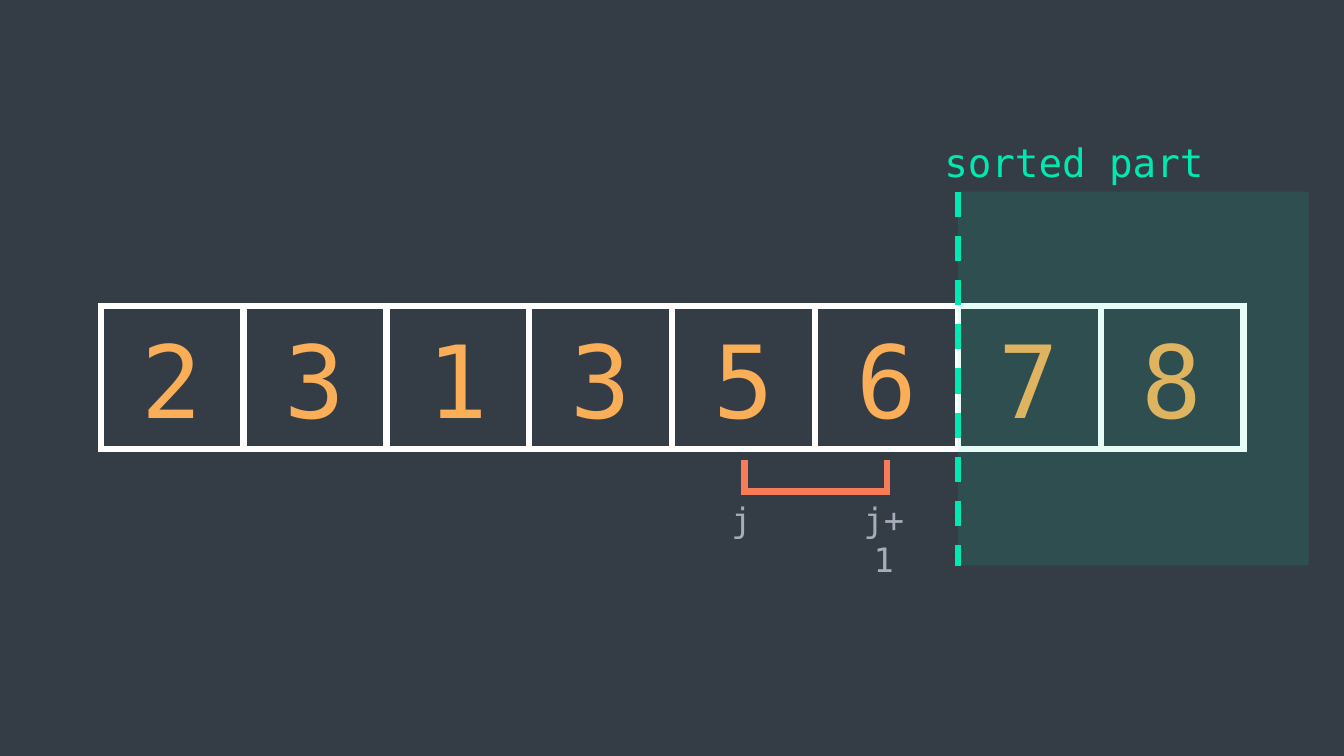
from lxml import etree
from pptx import Presentation
from pptx.dml.color import RGBColor
from pptx.enum.dml import MSO_LINE
from pptx.enum.shapes import MSO_CONNECTOR, MSO_SHAPE
from pptx.enum.text import MSO_ANCHOR, MSO_AUTO_SIZE, PP_ALIGN
from pptx.oxml.ns import qn
from pptx.util import Cm, Pt

RECT, BRACKET = MSO_SHAPE.RECTANGLE, MSO_SHAPE.LEFT_BRACKET
STRAIGHT, DASH = MSO_CONNECTOR.STRAIGHT, MSO_LINE.DASH
CENTER, RIGHT = PP_ALIGN.CENTER, PP_ALIGN.RIGHT
MIDDLE, GROW = MSO_ANCHOR.MIDDLE, MSO_AUTO_SIZE.SHAPE_TO_FIT_TEXT

COLORS = {
    "back": "343D46",
    "edge": "FFFFFF",
    "digit": "F9AE57",
    "sorted": "00E9B1",
    "pair": "F97B57",
    "index": "A6ACB9",
}
FONT = "DejaVu Sans Mono"
VALUES = [2, 3, 1, 3, 5, 6, 7, 8]
SPLIT = 6  # first sorted cell
PAIR = 4  # cell at index j
LEFT, TOP, SIDE = 2.54, 7.72, 3.6
PART_TOP, PART_HIGH = 4.83, 9.42
CELL_TEXT = {"margin_left": 0, "margin_right": 0, "vertical_anchor": MIDDLE}
LABEL_TEXT = {"word_wrap": True, "auto_size": GROW}


def color(name):
    return RGBColor.from_string(COLORS[name])


def cell_x(index):
    return LEFT + index * SIDE


def set_all(target, values):
    for name, value in values.items():
        setattr(target, name, value)


def style_line(shape, name):
    shape.line.color.rgb = color(name)
    shape.line.width = Pt(4.5)
    line = shape.line._get_or_add_ln()
    etree.SubElement(line, qn("a:miter"), lim="800000")


def write(shape, text, size, name, align, frame_values):
    frame = shape.text_frame
    set_all(frame, frame_values)
    para = frame.paragraphs[0]
    para.alignment = align
    run = para.add_run()
    run.text = text
    set_all(run.font, {"size": Pt(size), "name": FONT})
    run.font.color.rgb = color(name)


def add_box(shapes, kind, x, y, wide, high):
    box = shapes.add_shape(kind, Cm(x), Cm(y), Cm(wide), Cm(high))
    box.shadow.inherit = False
    return box


def add_cell(shapes, index, value):
    cell = add_box(shapes, RECT, cell_x(index), TOP, SIDE, SIDE)
    cell.fill.solid()
    cell.fill.fore_color.rgb = color("back")
    style_line(cell, "edge")
    write(cell, str(value), 72, "digit", CENTER, CELL_TEXT)


def add_label(shapes, text, x, y, wide, high, size, name, align):
    box = shapes.add_textbox(Cm(x), Cm(y), Cm(wide), Cm(high))
    write(box, text, size, name, align, LABEL_TEXT)


def add_split(shapes):
    x = Cm(cell_x(SPLIT))
    line = shapes.add_connector(
        STRAIGHT, x, Cm(PART_TOP), x, Cm(PART_TOP + PART_HIGH))
    style_line(line, "sorted")
    line.line.dash_style = DASH
    etree.SubElement(line._element.spPr, qn("a:effectLst"))


def add_part(shapes):
    part = add_box(shapes, RECT, cell_x(SPLIT), PART_TOP, 8.84, PART_HIGH)
    part.fill.solid()
    part.fill.fore_color.rgb = color("sorted")
    tint = part.fill._xPr.find(".//" + qn("a:srgbClr"))
    etree.SubElement(tint, qn("a:alpha"), val="10000")
    part.line.fill.background()


def add_pair(shapes):
    """Bracket under two neighbour cells, with their index names."""
    group = shapes.add_group_shape().shapes
    deep = 0.79
    mid = cell_x(PAIR + 1)
    mark = add_box(group, BRACKET, mid - deep / 2 + 0.02, 10.19, deep, SIDE)
    mark.rotation = 270
    mark.adjustments[0] = 0
    mark.fill.background()
    style_line(mark, "pair")
    for text, x, wide in (("j", 17.86, 1.65), ("j+1", 21.31, 1.93)):
        add_label(group, text, x, 12.45, wide, 1.27, 24, "index", CENTER)


def main():
    deck = Presentation()
    set_all(deck, {"slide_width": Cm(33.87), "slide_height": Cm(19.05)})
    slide = deck.slides.add_slide(deck.slide_layouts[6])
    slide.background.fill.solid()
    slide.background.fill.fore_color.rgb = color("back")
    shapes = slide.shapes
    for index, value in enumerate(VALUES):
        add_cell(shapes, index, value)
    add_split(shapes)
    add_label(shapes, "sorted part", 22.86, 3.35, 7.72, 1.45,
              28, "sorted", RIGHT)
    add_part(shapes)
    add_pair(shapes)
    deck.save("out.pptx")


if __name__ == "__main__":
    main()
